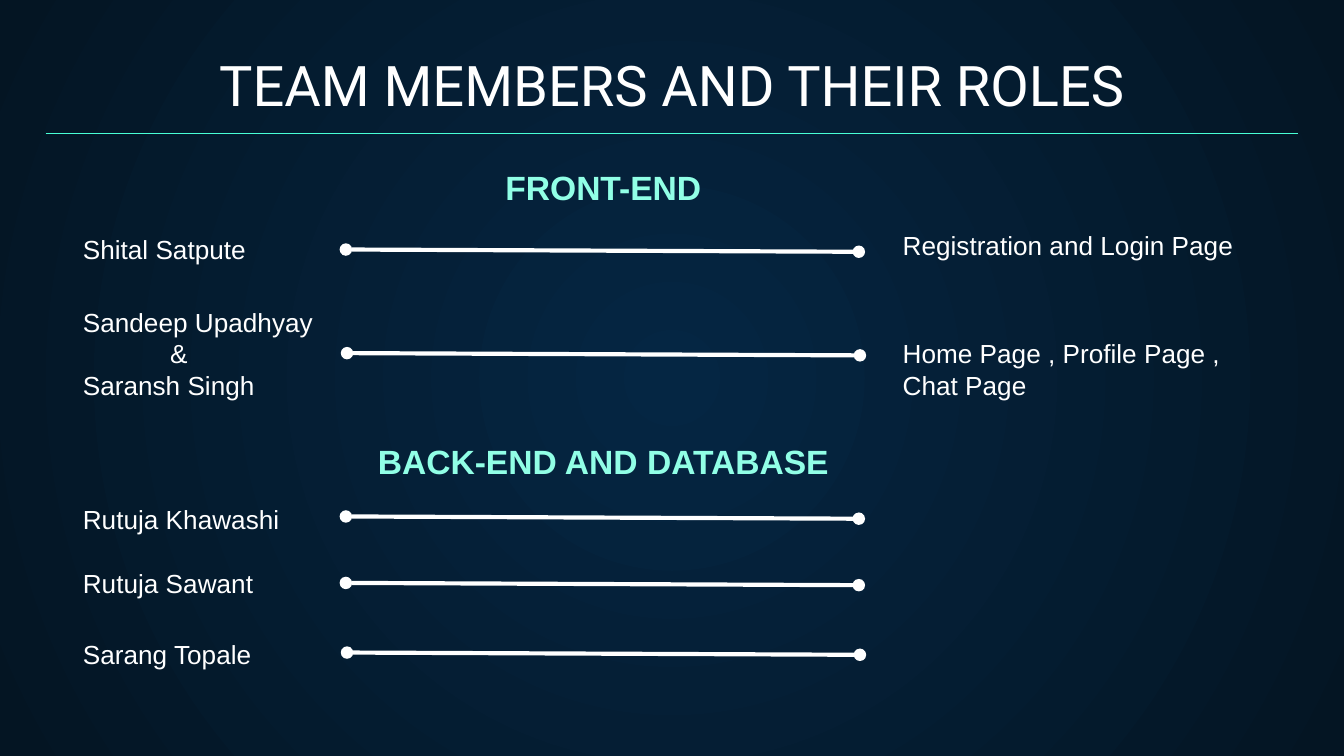
from lxml import etree
from pptx import Presentation
from pptx.dml.color import RGBColor
from pptx.enum.shapes import MSO_CONNECTOR
from pptx.enum.text import MSO_ANCHOR, PP_ALIGN
from pptx.oxml import parse_xml
from pptx.oxml.ns import nsdecls, qn
from pptx.util import Pt

STRAIGHT = MSO_CONNECTOR.STRAIGHT
LEFT, CENTER = PP_ALIGN.LEFT, PP_ALIGN.CENTER
TOP, BOTTOM = MSO_ANCHOR.TOP, MSO_ANCHOR.BOTTOM
COLORS = {"glow": "052643", "night": "041523", "white": "FFFFFF",
          "mint": "91FFE6", "rule": "48FFD5"}


def add_text(box, lines, size=14, font="Arial", color="white", bold=False,
             align=LEFT, anchor=TOP, inset=3.6):
    sp = s.shapes.add_textbox(*[Pt(v) for v in box])
    tf = sp.text_frame
    tf.word_wrap = True
    tf.vertical_anchor = anchor
    tf.margin_top = tf.margin_bottom = Pt(inset)
    for i, (text, indent) in enumerate(lines):
        p = tf.paragraphs[0] if i == 0 else tf.add_paragraph()
        p.alignment = align
        if indent:
            pPr = p._p.get_or_add_pPr()
            pPr.set("marL", str(Pt(indent)))
            pPr.set("indent", "0")
        r = p.add_run()
        r.text = text
        r.font.size = Pt(size)
        r.font.name = font
        r.font.bold = bold
        r.font.color.rgb = RGBColor.from_string(COLORS[color])


def add_line(x1, y1, x2, y2, color, width, dots=False):
    c = s.shapes.add_connector(STRAIGHT, Pt(x1), Pt(y1), Pt(x2), Pt(y2))
    c.line.color.rgb = RGBColor.from_string(COLORS[color])
    c.line.width = Pt(width)
    if dots:
        ln = c.line._get_or_add_ln()
        for end in ("a:headEnd", "a:tailEnd"):
            etree.SubElement(ln, qn(end), type="oval")
    etree.SubElement(c._element.spPr, qn("a:effectLst"))


prs = Presentation()
prs.slide_width, prs.slide_height = Pt(720), Pt(405)
s = prs.slides.add_slide(prs.slide_layouts[6])

fill = s.background.fill
fill.gradient()
for stop, name in zip(fill.gradient_stops, ("glow", "night")):
    stop.color.rgb = RGBColor.from_string(COLORS[name])
lin = s.background._cSld.find(".//" + qn("a:lin"))
lin.getparent().replace(lin, parse_xml(
    f'<a:path {nsdecls("a")} path="circle">'
    '<a:fillToRect l="50000" t="50000" r="50000" b="50000"/></a:path>'))

add_text((24.5, 24.5, 671, 46), [("TEAM MEMBERS AND THEIR ROLES", 0)],
         size=30, font="Roboto", align=CENTER, anchor=BOTTOM, inset=7.2)
add_line(24.5, 71.4, 695.5, 71.4, "rule", 0.75)

for heading, top in (("FRONT-END", 85.7), ("BACK-END AND DATABASE", 232.6)):
    add_text((191, top, 264.5, 29), [(heading, 0)], size=18, color="mint",
             bold=True, align=CENTER)

pair = [("Sandeep Upadhyay", 0), ("&", 46.7), ("Saransh Singh", 0)]
members = [
    ([("Shital Satpute", 0)], 121.7, 24.2, 185.3, 133.7),
    (pair, 160.6, 58.2, 185.9, 189.2),
    ([("Rutuja Khawashi", 0)], 266.4, 24.2, 185.3, 276.7),
    ([("Rutuja Sawant", 0)], 300.4, 24.2, 185.3, 312.3),
    ([("Sarang Topale", 0)], 338.4, 24.2, 185.9, 349.6),
]
for names, top, height, x, y in members:
    add_text((37.3, top, 182, height), names)
    add_line(x, y, x + 274.8, y + 1.2, "white", 2.25, dots=True)

roles = [("Registration and Login Page", 119.5, 24.2),
         ("Home Page , Profile Page , Chat Page", 177.3, 41.2)]
for role, top, height in roles:
    add_text((476.5, top, 200, height), [(role, 0)])

prs.save("out.pptx")
